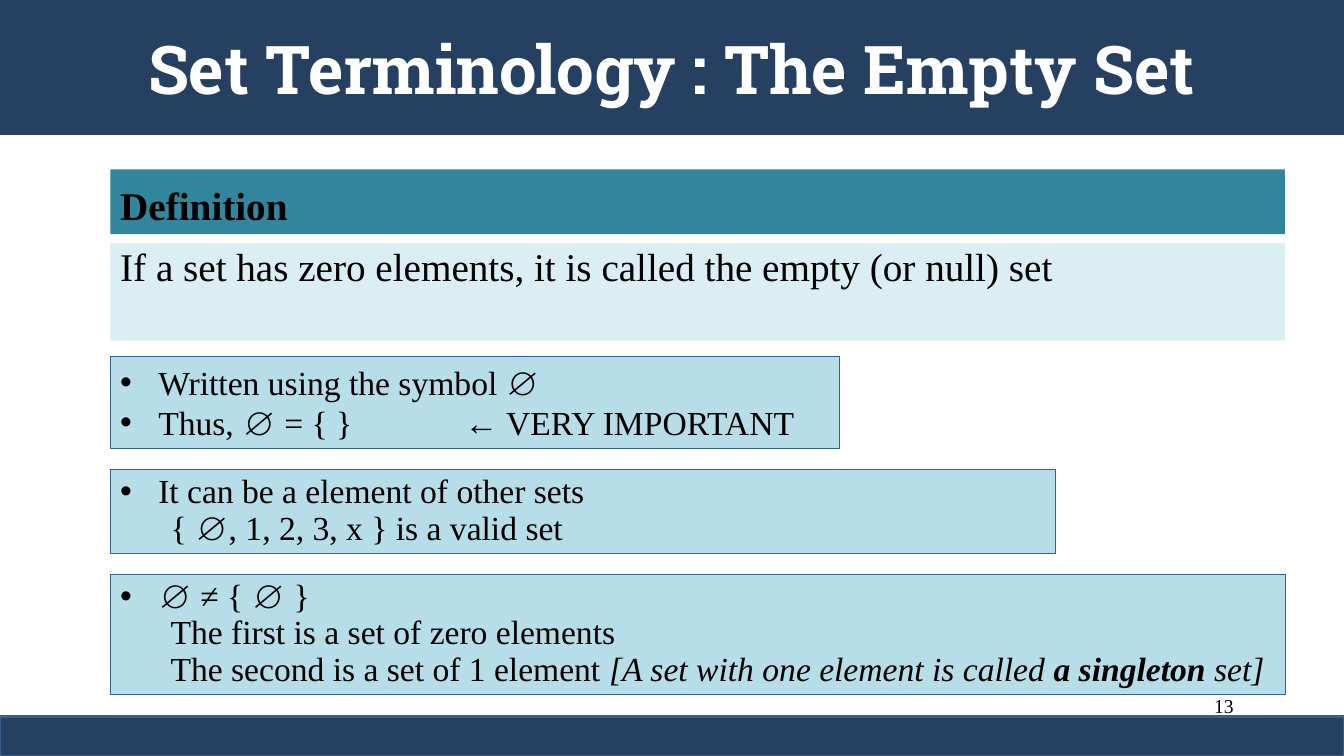
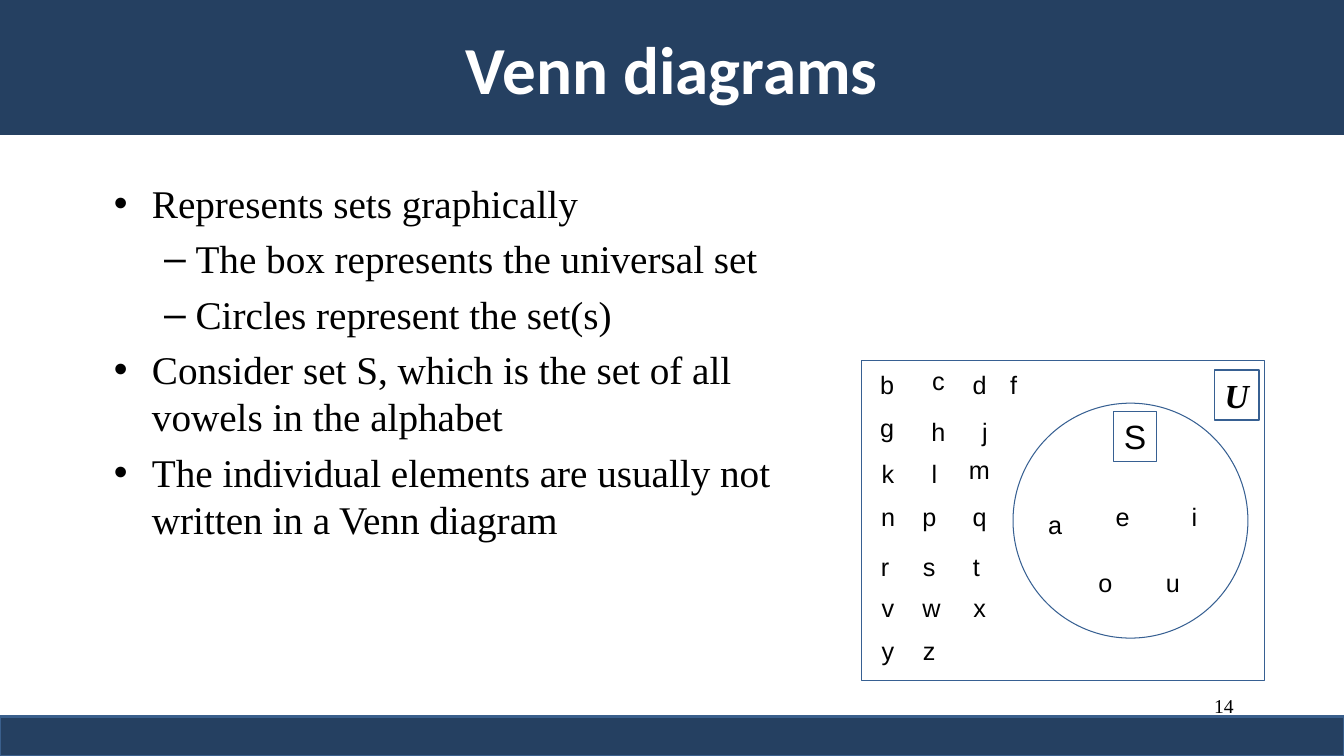
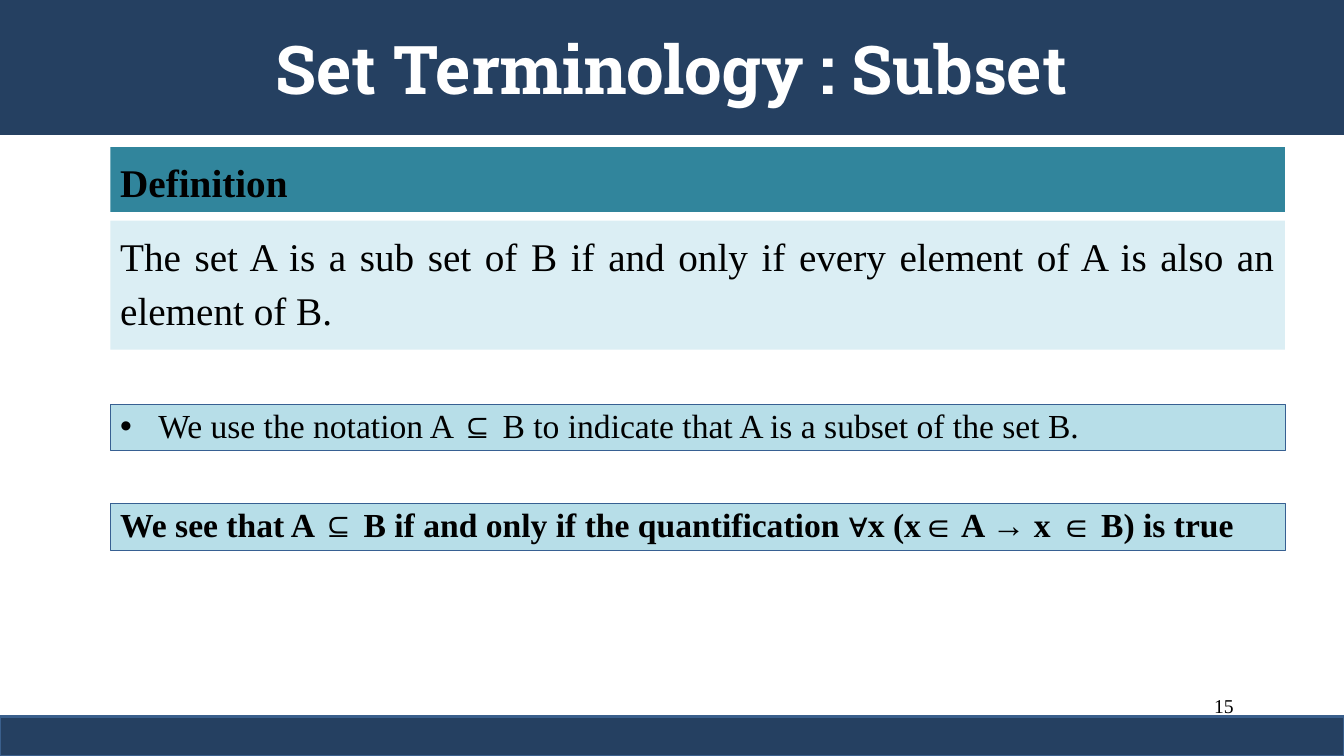
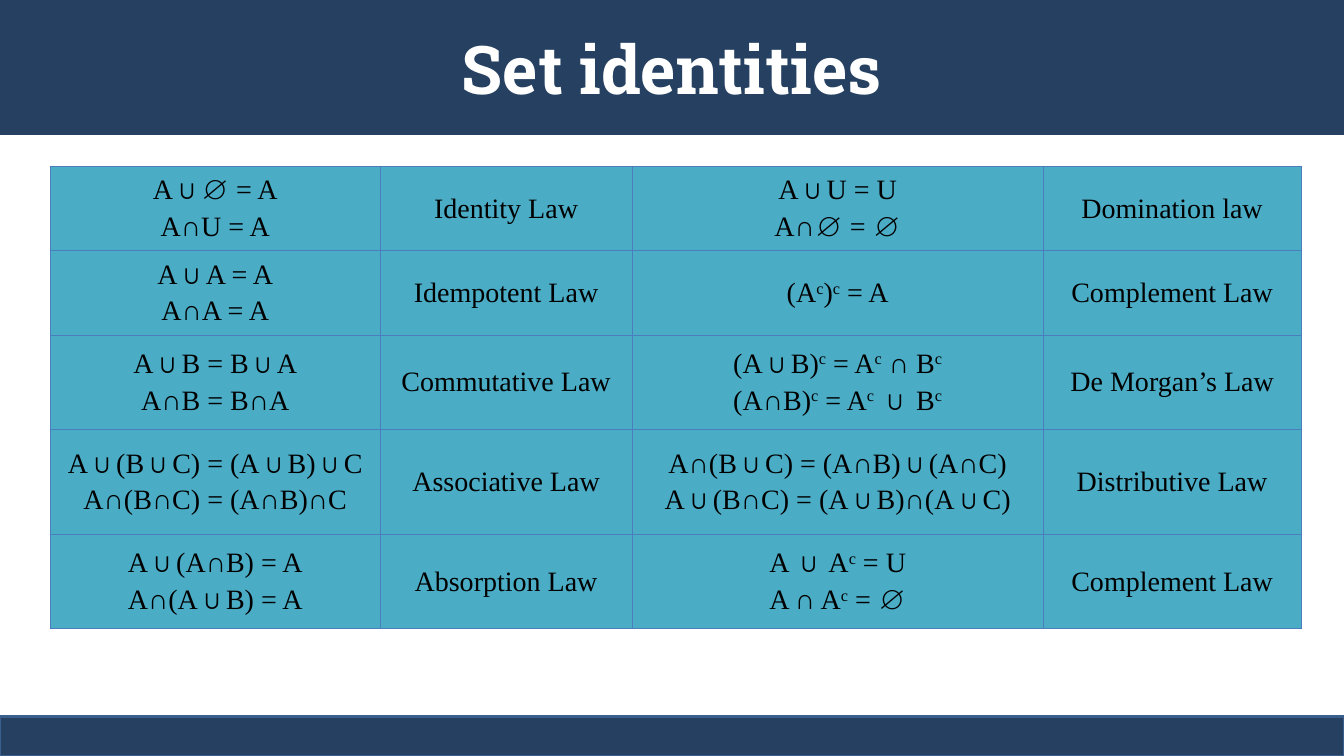
from lxml import etree
from pptx import Presentation
from pptx import util as u
from pptx.dml.color import RGBColor
from pptx.enum import shapes, text
from pptx.oxml import ns

# Shared look
NAVY, EDGE, OUTLINE = "254061", "3A5F8C", "376092"
TEAL, PALE, SKY = "31859C", "DBEEF4", "B7DEE8"
CELL, GRID = "4BACC6", "4B7EBC"
BLACK, WHITE = "000000", "FFFFFF"
SERIF, SANS = "Times New Roman", "Arial"
WIDTH, HEIGHT = 33.87, 19.05
LEFT, FULL = 2.78, 29.6
LEFT_AL, CENTER, RIGHT, JUSTIFY = (text.PP_ALIGN.LEFT, text.PP_ALIGN.CENTER,
                                   text.PP_ALIGN.RIGHT, text.PP_ALIGN.JUSTIFY)
RECT, OVAL = shapes.MSO_SHAPE.RECTANGLE, shapes.MSO_SHAPE.OVAL

# Paragraph kinds: left margin, first-line indent, bullet
KINDS = {"plain": (0, 0, None), "bullet": (0.96, -0.96, "•"),
         "dash": (2.06, -0.79, "–"), "inset": (1.27, 0, None)}

# Content: notes are (top, width, height, line spacing, bold, paragraphs)
EMPTY_SET = {
    "title": "Set Terminology : The Empty Set", "number": "13",
    "definition": (4.27, 2.46, 0.9, LEFT_AL,
                   "If a set has zero elements, it is called the empty (or null) set"),
    "notes": [
        (8.99, 18.39, 2.31, 1, False, [
            ("bullet", "Written using the symbol ∅"),
            ("bullet", "Thus, ∅ = { }\t← VERY IMPORTANT")]),
        (11.84, 23.83, 2.11, 0.9, False, [
            ("bullet", "It can be a element of other sets"),
            ("inset", "{ ∅, 1, 2, 3, x } is a valid set")]),
        (14.48, 29.62, 3.02, 0.9, False, [
            ("bullet", "∅ ≠ { ∅ }"),
            ("inset", "The first is a set of zero elements"),
            ("inset", [("The second is a set of 1 element ", {}),
                       ("[A set with one element is called ", {"italic": True}),
                       ("a singleton ", {"italic": True, "bold": True}),
                       ("set]", {"italic": True})])]),
    ],
}
SUBSET = {
    "title": "Set Terminology : Subset", "number": "15",
    "definition": (3.71, 3.25, 1.14, JUSTIFY,
                   "The set A is a sub set of B if and only if every element of A "
                   "is also an element of B."),
    "notes": [
        (10.19, 29.62, 1.17, 0.9, False, [
            ("bullet", "We use the notation A ⊆ B to indicate that A is a subset of the set B.")]),
        (12.7, 29.62, 1.17, 0.9, True, [
            ("plain", "We see that A ⊆ B if and only if the quantification "
                      "∀x (x∈ A → x ∈ B) is true")]),
    ],
}
VENN_POINTS = [
    ("bullet", "Represents sets graphically"),
    ("dash", "The box represents the universal set"),
    ("dash", "Circles represent the set(s)"),
    ("bullet", "Consider set S, which is the set of all vowels in the alphabet"),
    ("bullet", "The individual elements are usually not written in a Venn diagram"),
]
# Letters by row: top, then (letter, left)
LETTER_ROWS = [
    (9.09, [("c", 23.22)]),
    (9.19, [("b", 21.93), ("d", 24.26), ("f", 25.2)]),
    (10.26, [("g", 21.93)]),
    (10.36, [("h", 23.22), ("j", 24.49)]),
    (11.33, [("m", 24.16)]),
    (11.43, [("k", 21.95), ("l", 23.22)]),
    (12.5, [("n", 21.95), ("p", 22.99), ("q", 24.26), ("e", 27.86), ("i", 29.77)]),
    (12.7, [("a", 26.16)]),
    (13.77, [("r", 21.95), ("s", 22.99), ("t", 24.26)]),
    (14.17, [("o", 27.43), ("u", 29.13)]),
    (14.81, [("v", 21.95), ("w", 22.99), ("x", 24.26)]),
    (15.88, [("y", 21.95), ("z", 22.99)]),
]
LETTER_WIDTHS = {"i": 0.66, "j": 0.66, "l": 0.66, "f": 0.69, "t": 0.69,
                 "r": 0.71, "w": 0.97, "m": 1.04}
# Identities: a character after ^ is raised
IDENTITIES = [
    (["A∪∅ = A", "A∩U = A"], ["Identity Law"],
     ["A∪U = U", "A∩∅ = ∅"], ["Domination law"]),
    (["A∪A = A", "A∩A = A"], ["Idempotent Law"],
     ["(A^c)^c = A"], ["Complement Law"]),
    (["A∪B = B∪A", "A∩B = B∩A"], ["Commutative Law"],
     ["(A∪B)^c = A^c ∩ B^c", "(A∩B)^c = A^c ∪ B^c"], ["De Morgan’s Law"]),
    (["A∪(B∪C) = (A∪B)∪C", "A∩(B∩C) = (A∩B)∩C"], ["Associative Law"],
     ["A∩(B∪C) = (A∩B)∪(A∩C)", "A∪(B∩C) = (A∪B)∩(A∪C)"], ["Distributive Law"]),
    (["A∪(A∩B) = A", "A∩(A∪B) = A"], ["Absorption Law"],
     ["A ∪ A^c = U", "A ∩ A^c = ∅"], ["Complement Law"]),
]
COLUMNS = [8.31, 6.35, 10.36, 6.5]
ROWS = [2.13, 2.13, 2.36, 2.67, 2.36]


def color(hex_value):
    return RGBColor.from_string(hex_value)


def add_xml(parent, tag, **attributes):
    return etree.SubElement(parent, ns.qn(tag), attributes)


def raised(formula):
    first, *rest = formula.split("^")
    runs = [(first, {})]
    for part in rest:
        runs += [(part[0], {"raised": True}), (part[1:], {})]
    return [run for run in runs if run[0]]


def write(frame, paragraphs, size, font=SERIF, ink=BLACK, align=LEFT_AL,
          spacing=1, before=0, tab=None, **style):
    """Fill a text frame with (kind, text or runs) paragraphs."""
    for index, (kind, content) in enumerate(paragraphs):
        line = frame.add_paragraph() if index else frame.paragraphs[0]
        margin, indent, bullet = KINDS[kind]
        properties = line._p.get_or_add_pPr()
        properties.set("marL", str(u.Cm(margin)))
        properties.set("indent", str(u.Cm(indent)))
        if bullet:
            add_xml(properties, "a:buFont", typeface=SANS)
            add_xml(properties, "a:buChar", char=bullet)
        if tab:
            stops = add_xml(properties, "a:tabLst")
            add_xml(stops, "a:tab", pos=str(u.Cm(tab)), algn="l")
        line.alignment, line.line_spacing = align, spacing
        line.space_before = u.Pt(before if index else 0)
        runs = [(content, {})] if isinstance(content, str) else content
        for words, extra in runs:
            run = line.add_run()
            run.text = words
            look = {"size": u.Pt(size), "name": font, **style, **extra}
            if look.pop("raised", False):
                run._r.get_or_add_rPr().set("baseline", "30000")
            for name, value in look.items():
                setattr(run.font, name, value)
            run.font.color.rgb = color(ink)


def add_box(slide, left, top, width, height, fill=None, line=None, weight=0.75,
            shape=RECT, anchor=text.MSO_ANCHOR.TOP, wrap=True):
    box = slide.shapes.add_shape(shape, *map(u.Cm, (left, top, width, height)))
    box.shadow.inherit = False
    if fill:
        box.fill.solid()
        box.fill.fore_color.rgb = color(fill)
    else:
        box.fill.background()
    if line:
        box.line.color.rgb = color(line)
        box.line.width = u.Pt(weight)
    else:
        box.line.fill.background()
    box.text_frame.vertical_anchor, box.text_frame.word_wrap = anchor, wrap
    return box.text_frame


def add_text(slide, left, top, width, height, wrap=True):
    frame = slide.shapes.add_textbox(*map(u.Cm, (left, top, width, height))).text_frame
    frame.word_wrap = wrap
    return frame


def new_slide(deck, title, number=None, title_font="Roboto Slab"):
    """Blank slide with title band, footer band and page number."""
    slide = deck.slides.add_slide(deck.slide_layouts[6])
    band = add_box(slide, 0, 0, WIDTH, 3.4, NAVY, anchor=text.MSO_ANCHOR.MIDDLE)
    write(band, [("plain", title)], 48, title_font, WHITE, CENTER, bold=True)
    add_box(slide, 0, 18.06, WIDTH, 0.99, NAVY, EDGE, 2)
    if number:
        write(add_text(slide, 24.28, 17.35, 7.06, 1.27), [("plain", number)],
              14, align=RIGHT)
    return slide


def definition_slide(deck, topic):
    slide = new_slide(deck, topic["title"], topic["number"])
    top, height, spacing, align, meaning = topic["definition"]
    write(add_box(slide, LEFT, top, FULL, 1.63, TEAL), [("plain", "Definition")],
          28, spacing=1.14, bold=True)
    write(add_box(slide, LEFT, top + 1.85, FULL, height, PALE), [("plain", meaning)],
          28, align=align, spacing=spacing)
    for top, width, height, spacing, bold, paragraphs in topic["notes"]:
        note = add_box(slide, LEFT, top, width, height, SKY, OUTLINE)
        write(note, paragraphs, 24, spacing=spacing, tab=8.68, bold=bold)


def venn_slide(deck):
    slide = new_slide(deck, "Venn diagrams", "14", "Calibri")
    write(add_text(slide, 2.62, 4.39, 18.26, 12.83), VENN_POINTS, 28, before=6)
    # Universal set, circle and their labels
    add_box(slide, 21.72, 9.09, 10.16, 8.05, line=OUTLINE)
    add_box(slide, 25.53, 10.16, 5.92, 5.92, line=OUTLINE, shape=OVAL)
    universe = add_box(slide, 30.61, 9.32, 1.12, 1.27, line=OUTLINE, weight=1, wrap=False)
    write(universe, [("plain", "U")], 24, align=CENTER, bold=True, italic=True)
    vowels = add_box(slide, 28.07, 10.36, 1.07, 1.27, line=OUTLINE, wrap=False)
    write(vowels, [("plain", "S")], 24, SANS, align=CENTER)
    # Elements
    for top, letters in LETTER_ROWS:
        for letter, left in letters:
            spot = add_text(slide, left, top, LETTER_WIDTHS.get(letter, 0.86), 1.02, False)
            write(spot, [("plain", letter)], 18, SANS, align=CENTER)


def identities_slide(deck):
    slide = new_slide(deck, "Set identities")
    laws = slide.shapes.add_table(len(ROWS), len(COLUMNS), u.Cm(1.27), u.Cm(4.19),
                                  u.Cm(sum(COLUMNS)), u.Cm(sum(ROWS))).table
    for column, width in zip(laws.columns, COLUMNS):
        column.width = u.Cm(width)
    for row, height, entries in zip(laws.rows, ROWS, IDENTITIES):
        row.height = u.Cm(height)
        for cell, formulas in zip(row.cells, entries):
            properties = cell._tc.get_or_add_tcPr()
            for side in "LRTB":
                border = add_xml(properties, f"a:ln{side}", w=str(u.Pt(0.75)))
                add_xml(add_xml(border, "a:solidFill"), "a:srgbClr", val=GRID)
            cell.fill.solid()
            cell.fill.fore_color.rgb = color(CELL)
            cell.vertical_anchor = text.MSO_ANCHOR.MIDDLE
            write(cell.text_frame, [("plain", raised(formula)) for formula in formulas],
                  20, align=CENTER, before=4)


def main():
    deck = Presentation()
    deck.slide_width, deck.slide_height = u.Cm(WIDTH), u.Cm(HEIGHT)
    definition_slide(deck, EMPTY_SET)
    venn_slide(deck)
    definition_slide(deck, SUBSET)
    identities_slide(deck)
    deck.save("out.pptx")


if __name__ == "__main__":
    main()
